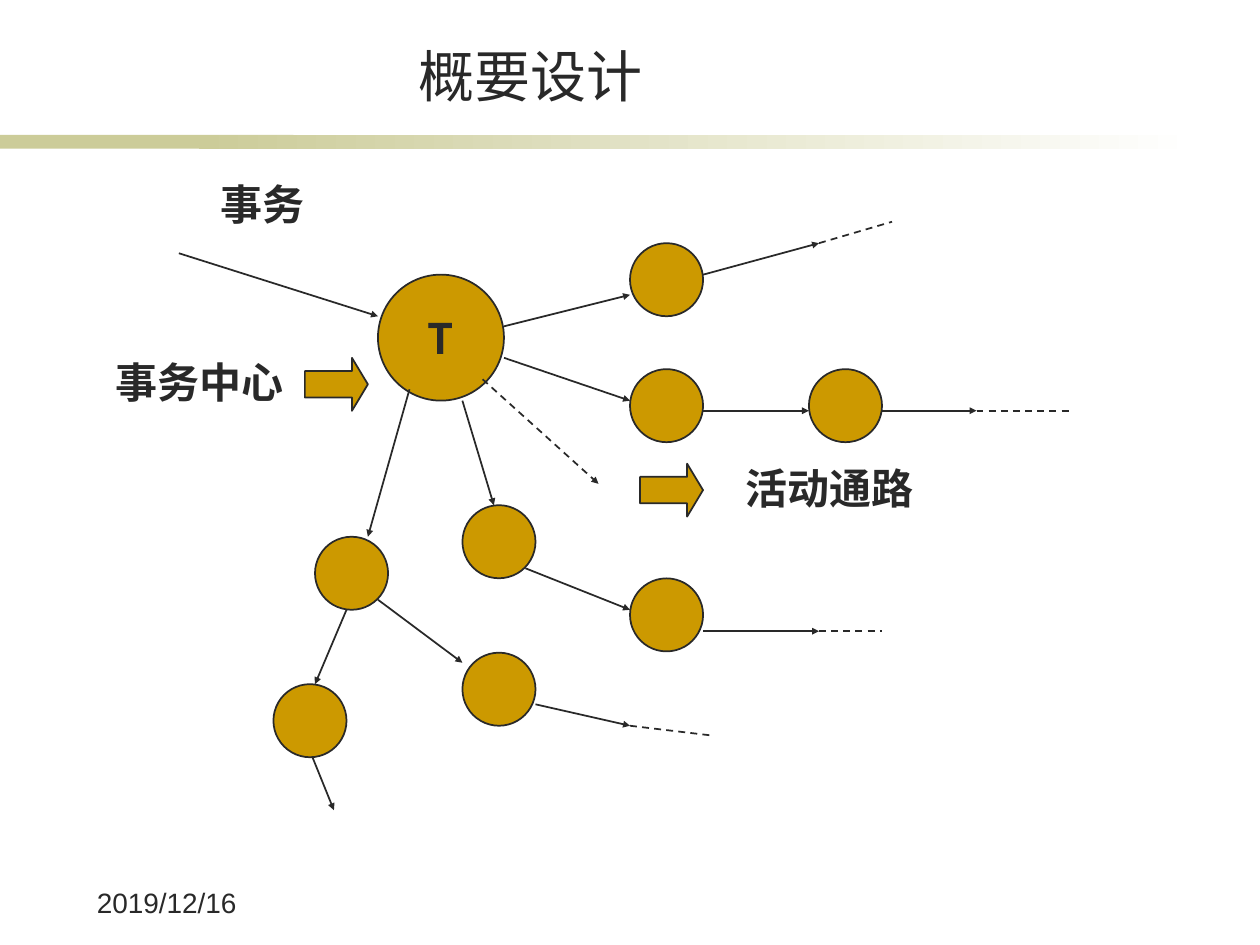
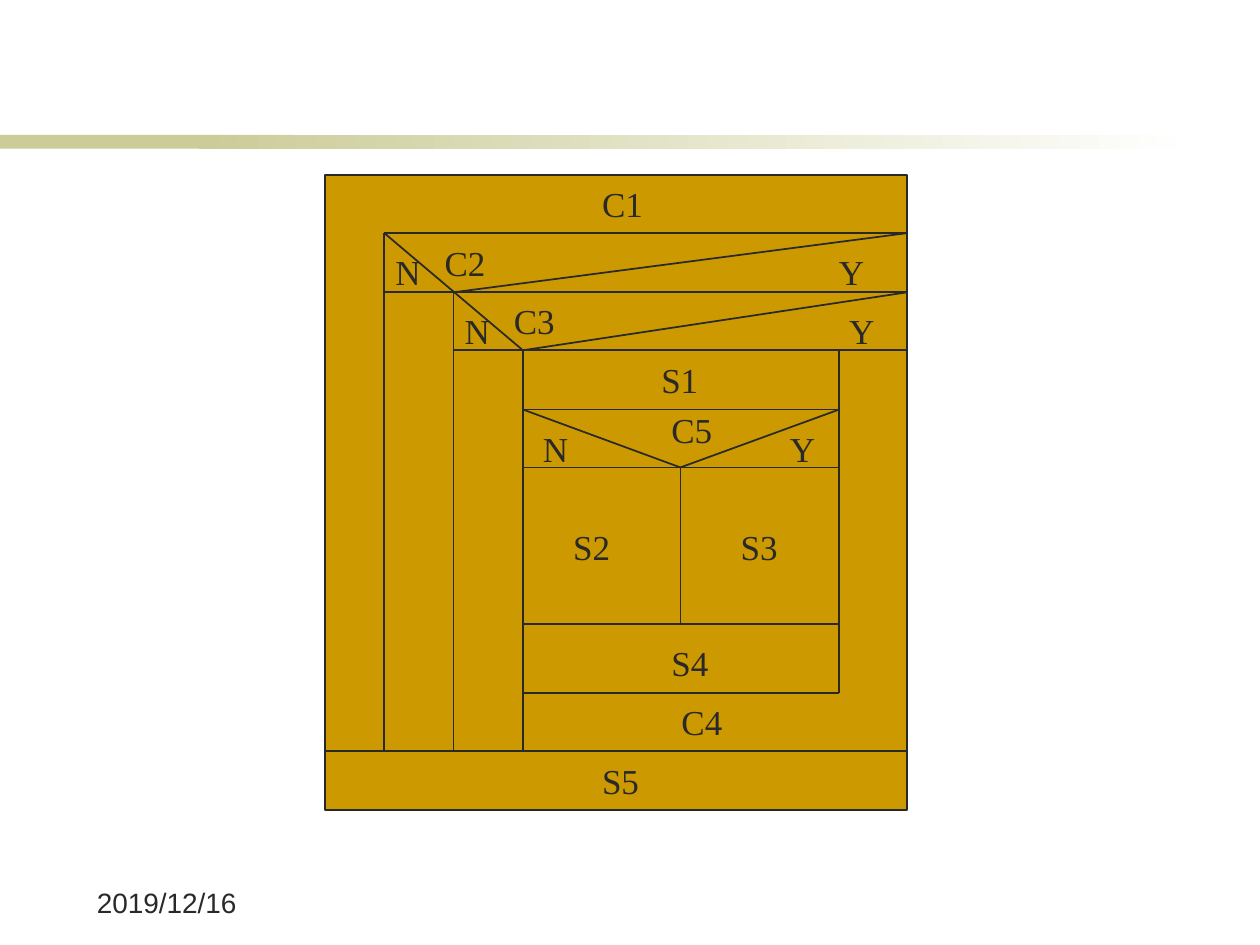
from lxml import etree
from pptx import Presentation
from pptx.dml.color import RGBColor
from pptx.enum.dml import MSO_LINE
from pptx.enum.shapes import MSO_CONNECTOR, MSO_SHAPE
from pptx.enum.text import MSO_ANCHOR, MSO_AUTO_SIZE, PP_ALIGN
from pptx.oxml.ns import qn
from pptx.util import Inches, Pt

RECTANGLE, OVAL, RIGHT_ARROW = MSO_SHAPE.RECTANGLE, MSO_SHAPE.OVAL, MSO_SHAPE.RIGHT_ARROW
STRAIGHT, DASH = MSO_CONNECTOR.STRAIGHT, MSO_LINE.DASH
LEFT, CENTER = PP_ALIGN.LEFT, PP_ALIGN.CENTER
TOP, MIDDLE, BOTTOM = MSO_ANCHOR.TOP, MSO_ANCHOR.MIDDLE, MSO_ANCHOR.BOTTOM
FIT_SHAPE = MSO_AUTO_SIZE.SHAPE_TO_FIT_TEXT

COLORS = {"ink": "292929", "gold": "CC9900", "band": "CCCC99", "white": "FFFFFF"}
SANS, CJK, SERIF = "Arial", "Noto Sans CJK SC", "Times New Roman"
NODE_SIZE = 0.58

# Slide 1: transaction flow
NODES = [(5, 1.93), (5, 2.93), (6.42, 2.93), (2.5, 4.26), (3.67, 4.01),
         (5, 4.59), (2.17, 5.43), (3.67, 5.18)]
FLOWS = [(1.42, 2.01, 3, 2.51), (4, 2.59, 5, 2.34), (4, 2.84, 5, 3.18),
         (5.58, 3.26, 6.42, 3.26), (7, 3.26, 7.75, 3.26), (5.58, 2.18, 6.5, 1.93),
         (3.67, 3.18, 3.92, 4.01), (4.17, 4.51, 5, 4.84), (5.58, 5.01, 6.5, 5.01),
         (3.25, 3.09, 2.92, 4.26), (2.75, 4.84, 2.5, 5.43), (3, 4.76, 3.67, 5.26),
         (4.25, 5.59, 5, 5.76), (2.48, 6.01, 2.65, 6.43)]
CONTINUATIONS = [(6.5, 5.01, 7, 5.01), (7.75, 3.26, 8.5, 3.26),
                 (6.5, 1.93, 7.08, 1.76), (5, 5.76, 5.67, 5.84)]
FLOW_LABELS = [("事务", 1.65, 1.37, 0.87), ("事务中心", 0.82, 2.78, 1.54),
               ("活动通路", 5.82, 3.62, 1.54)]

# Slide 2: box diagram, label positions
BOX_LABELS = [("C1", 4.68, 1.4), ("C2", 3.43, 1.87), ("C3", 3.98, 2.33),
              ("C4", 5.31, 5.51), ("C5", 5.23, 3.19), ("S1", 5.15, 2.8),
              ("S2", 4.45, 4.12), ("S3", 5.78, 4.12), ("S4", 5.23, 5.04),
              ("S5", 4.68, 5.98), ("N", 3.04, 1.94), ("N", 3.59, 2.41),
              ("N", 4.21, 3.34), ("Y", 6.56, 1.94), ("Y", 6.64, 2.41),
              ("Y", 6.17, 3.34)]


def color(name):
    return RGBColor.from_string(COLORS[name])


def write(shape, text, size, font, bold=False, align=LEFT, anchor=TOP, wrap=False):
    frame = shape.text_frame
    frame.word_wrap = wrap
    frame.vertical_anchor = anchor
    frame.text = text
    para = frame.paragraphs[0]
    para.alignment = align
    span = para.runs[0]
    span.font.size = Pt(size)
    span.font.name = font
    span.font.bold = bold
    span.font.color.rgb = color("ink")
    east_asian = etree.SubElement(span.font._element, qn("a:ea"))
    east_asian.set("typeface", CJK)


def add_label(page, text, left, top, width, height, size, font, **style):
    box = page.shapes.add_textbox(*map(Inches, (left, top, width, height)))
    write(box, text, size, font, **style)
    if not box.text_frame.word_wrap:
        box.text_frame.auto_size = FIT_SHAPE


def add_filled(page, kind, left, top, width, height, fill="gold", outline=True):
    shape = page.shapes.add_shape(kind, *map(Inches, (left, top, width, height)))
    shape.shadow.inherit = False
    shape.fill.solid()
    shape.fill.fore_color.rgb = color(fill)
    if outline:
        shape.line.color.rgb = color("ink")
        shape.line.width = Pt(1)
    else:
        shape.line.fill.background()
    return shape


def add_line(page, ends, arrow=False, dashed=False):
    """Draw a line between ends (x1, y1, x2, y2), with an arrowhead at the second."""
    line = page.shapes.add_connector(STRAIGHT, *map(Inches, ends))
    line.line.color.rgb = color("ink")
    line.line.width = Pt(1)
    if dashed:
        line.line.dash_style = DASH
    properties = line._element.spPr
    if arrow:
        head = etree.SubElement(properties.find(qn("a:ln")), qn("a:tailEnd"))
        for name, value in (("type", "triangle"), ("w", "sm"), ("len", "sm")):
            head.set(name, value)
    etree.SubElement(properties, qn("a:effectLst"))


def add_page(deck):
    """Add a blank slide with the fading band and the date."""
    page = deck.slides.add_slide(deck.slide_layouts[6])
    add_filled(page, RECTANGLE, 0, 1.07, 2.33, 0.11, "band", outline=False)
    fade = add_filled(page, RECTANGLE, 1.58, 1.07, 7.92, 0.11, "band", outline=False)
    fade.fill.gradient()
    fade.fill.gradient_angle = 0
    for stop, name in zip(fade.fill.gradient_stops, ("band", "white")):
        stop.color.rgb = color(name)
    add_label(page, "2019/12/16", 0.67, 6.98, 1.41, 0.39, 16, SANS, wrap=True)
    return page


def build_transaction_flow(page):
    add_label(page, "概要设计", 1.14, 0.28, 6.14, 0.63, 32, SANS,
              align=CENTER, anchor=BOTTOM, wrap=True)
    center = add_filled(page, OVAL, 3, 2.18, 1, 1)
    write(center, "T", 24, CJK, bold=True, align=CENTER, anchor=MIDDLE)
    for left, top in NODES:
        add_filled(page, OVAL, left, top, NODE_SIZE, NODE_SIZE)
    for ends in FLOWS:
        add_line(page, ends, arrow=True)
    add_line(page, (3.83, 3.01, 4.75, 3.84), arrow=True, dashed=True)
    for ends in CONTINUATIONS:
        add_line(page, ends, dashed=True)
    for left, top in [(2.42, 2.84), (5.08, 3.68)]:
        pointer = add_filled(page, RIGHT_ARROW, left, top, 0.5, 0.42)
        pointer.adjustments[0] = 0.5
        pointer.adjustments[1] = 0.3
    for text, left, top, width in FLOW_LABELS:
        add_label(page, text, left, top, width, 0.5, 24, CJK, bold=True)


def build_box_diagram(page):
    left, right, top, bottom = 2.58, 7.2, 1.39, 6.43
    outer, middle, inner = 3.05, 3.6, 4.15
    split, inner_right = 5.4, 6.66
    c2_top, c3_top, s1_top, c5_top, s2_top = 1.85, 2.32, 2.78, 3.25, 3.71
    s4_top, c4_top, s5_top = 4.95, 5.5, 5.96

    add_filled(page, RECTANGLE, left, top, right - left, bottom - top)
    rows = [(left, right, s5_top), (outer, right, c2_top), (outer, right, c3_top),
            (middle, right, s1_top)]
    rows += [(inner, inner_right, y) for y in (c5_top, s2_top, s4_top, c4_top)]
    columns = [(outer, c2_top, s5_top), (middle, c3_top, s5_top),
               (inner, s1_top, s5_top), (inner_right, s1_top, c4_top),
               (split, s2_top, s4_top)]
    diagonals = [(outer, c2_top, inner, s1_top), (middle, c3_top, right, c2_top),
                 (inner, s1_top, right, c3_top), (inner, c5_top, split, s2_top),
                 (split, s2_top, inner_right, c5_top)]
    for start, end, y in rows:
        add_line(page, (start, y, end, y))
    for x, start, end in columns:
        add_line(page, (x, start, x, end))
    for ends in diagonals:
        add_line(page, ends)

    for text, x, y in BOX_LABELS:
        width = 0.4 if len(text) == 1 else 0.53
        # Unwrapped text is centred on its box, so S labels keep their own width.
        if text.startswith("S"):
            width = 0.5
        add_label(page, text, x, y, width, 0.43, 20, SERIF)


def main():
    deck = Presentation()
    deck.slide_width, deck.slide_height = Inches(10), Inches(7.5)
    build_transaction_flow(add_page(deck))
    build_box_diagram(add_page(deck))
    deck.save("out.pptx")


if __name__ == "__main__":
    main()
